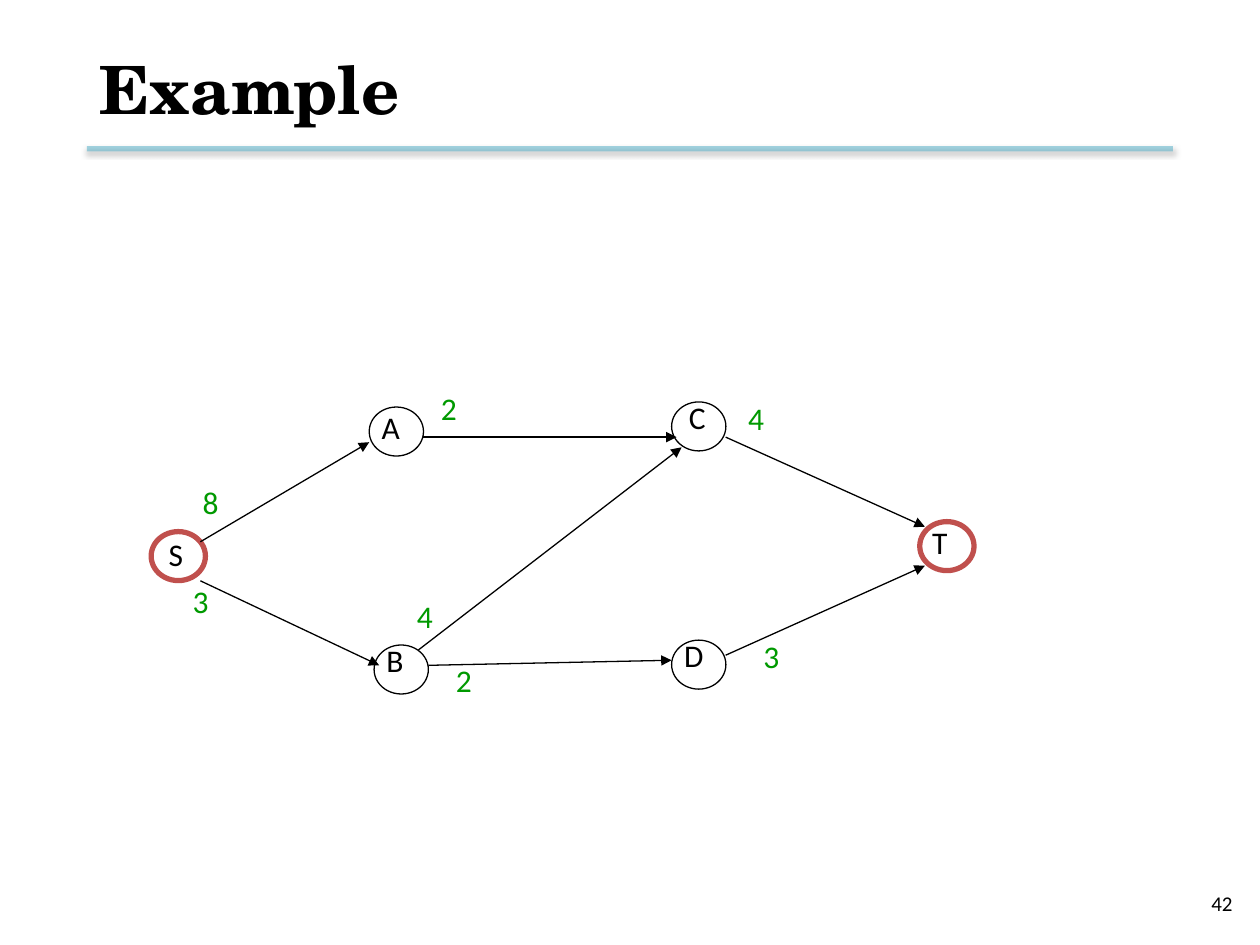
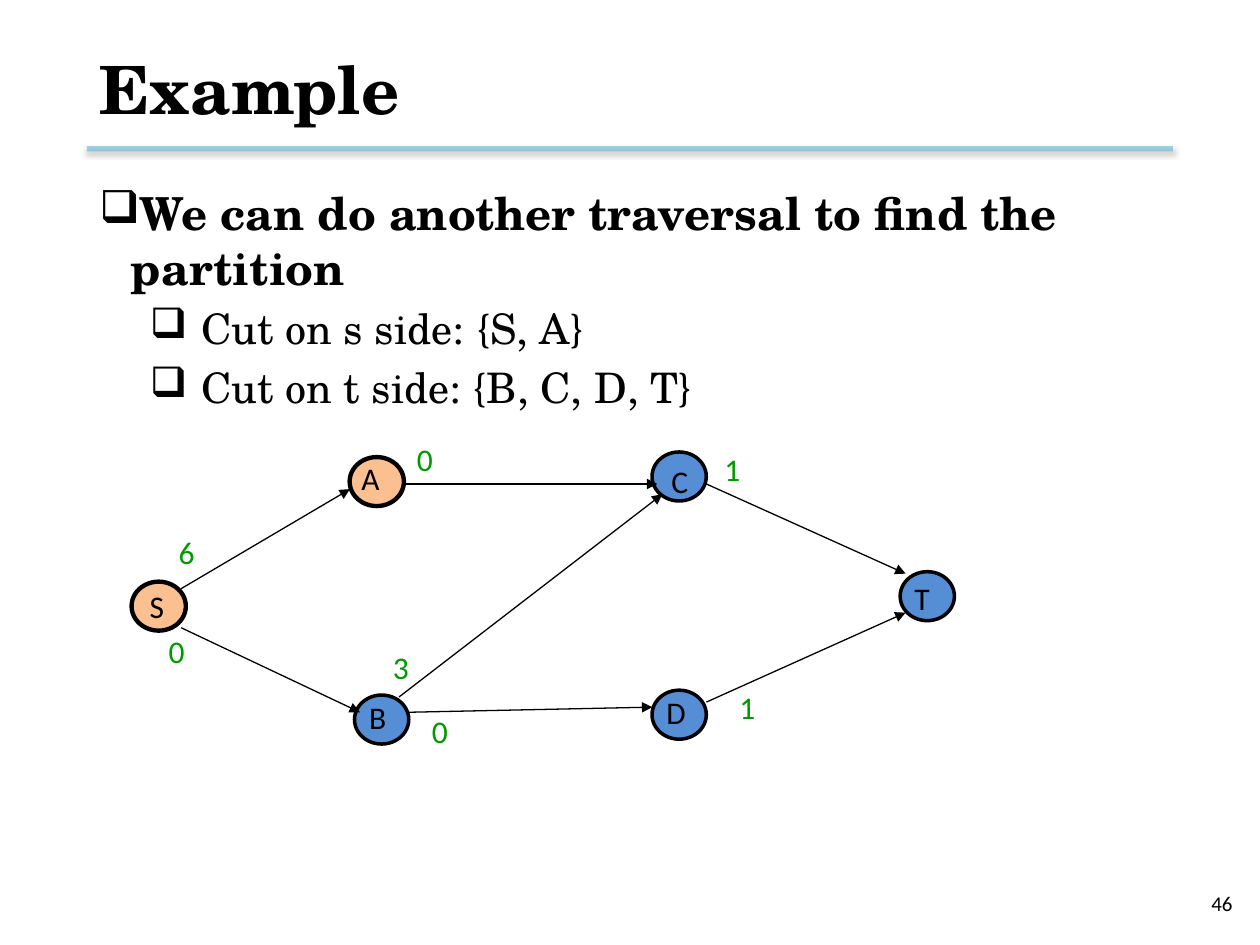
from lxml import etree
from pptx import Presentation
from pptx.dml.color import RGBColor
from pptx.enum.shapes import MSO_CONNECTOR, MSO_SHAPE
from pptx.enum.text import MSO_ANCHOR, PP_ALIGN
from pptx.oxml import parse_xml
from pptx.oxml.ns import qn
from pptx.util import Pt

STRAIGHT = MSO_CONNECTOR.STRAIGHT
ELLIPSE = MSO_SHAPE.OVAL
TOP, MIDDLE = MSO_ANCHOR.TOP, MSO_ANCHOR.MIDDLE
LEFT, RIGHT = PP_ALIGN.LEFT, PP_ALIGN.RIGHT

COLORS = {
    "black": "000000",
    "white": "FFFFFF",
    "rule": "4BACC6",
    "weight": "009900",
    "terminal": "C0504D",
    "source side": "FAC090",
    "sink side": "558ED5",
}
HEADING_FONT = "TeX Gyre Schola"
LABEL_FONT = "Calibri"

MARGIN, CONTENT_WIDTH, RULE_TOP = 49.7, 620.6, 85
NODE_WIDTH, NODE_HEIGHT = 31, 28
RULE_SHADOW = (
    '<a:effectLst xmlns:a="http://schemas.openxmlformats.org/drawingml/2006/main">'
    '<a:outerShdw blurRad="40000" dist="20000" dir="5400000" rotWithShape="0">'
    '<a:srgbClr val="000000"><a:alpha val="38000"/></a:srgbClr>'
    "</a:outerShdw></a:effectLst>"
)

# The flow network, at the place it takes on the first slide
NODES = {
    "S": (86.4, 303.8),
    "A": (211, 232.6),
    "B": (213.8, 368.6),
    "C": (383.8, 229.7),
    "D": (383.8, 365.8),
    "T": (525.6, 298.1),
}
# Edge: start x, start y, end x, end y, weight left, weight top
EDGES = {
    "SA": (114.5, 309.6, 211, 252.7, 108.7, 272.2),
    "SB": (114.5, 331.9, 216.7, 380.2, 103, 329),
    "AC": (241.9, 249.8, 386.6, 249.8, 244.8, 218.9),
    "BD": (244.8, 380.2, 383.8, 377.3, 253.4, 374.4),
    "DT": (414.7, 374.4, 528.5, 323.3, 429.1, 360.7),
    "CT": (414.7, 249.8, 528.5, 301, 420.5, 224.6),
    "BC": (239, 371.5, 389.5, 255.6, 231.1, 337.7),
}

# Node style: fill, line, line width
PLAIN = ("white", "black", 0.75)
TERMINAL = ("white", "terminal", 3)
SOURCE_SIDE = ("source side", "black", 2.5)
SINK_SIDE = ("sink side", "black", 2)

SLIDES = [
    {
        "number": "42",
        "body": [],
        "node shift": (0, 0),
        "edge shift": (0, 0),
        "weight shift": (0, 0),
        "styles": {"S": TERMINAL, "T": TERMINAL},
        "default style": PLAIN,
        "labels": {
            "S": (89.3, 302.4), "A": (211, 229.7), "B": (213.8, 362.9),
            "C": (386.6, 223.9), "D": (383.8, 360), "T": (525.6, 295.2),
        },
        "weights": {"SA": 8, "SB": 3, "AC": 2, "BD": 2, "DT": 3, "CT": 4, "BC": 4},
    },
    {
        "number": "46",
        # Text, size, bold, level, left indent, first-line indent
        "body": [
            ("We can do another traversal to find the partition", 26, True, 0, 18, -32.4),
            ("Cut on s side: {S, A}", 24, False, 1, 58.3, -29.5),
            ("Cut on t side: {B, C, D, T}", 24, False, 1, 58.3, -29.5),
        ],
        "node shift": (-11.2, 28.6),
        "edge shift": (-11, 26.8),
        "weight shift": (-13.7, 28.8),
        "styles": {"S": SOURCE_SIDE, "A": SOURCE_SIDE},
        "default style": SINK_SIDE,
        "labels": {
            "S": (78.5, 331.9), "A": (199.4, 258.5), "B": (203.8, 395.3),
            "C": (376.6, 260.6), "D": (373.7, 392.4), "T": (515.5, 327.6),
        },
        "weights": {"SA": 6, "SB": 0, "AC": 0, "BD": 0, "DT": 1, "CT": 1, "BC": 3},
    },
]


def add_text_box(slide, left, top, width, height, anchor=TOP):
    frame = slide.shapes.add_textbox(Pt(left), Pt(top), Pt(width), Pt(height)).text_frame
    frame.word_wrap = True
    frame.vertical_anchor = anchor
    return frame


def write(frame, text, size=18, font=LABEL_FONT, color="black", bold=False, align=LEFT):
    """Write one paragraph, reusing the empty first one, and return it."""
    paragraph = frame.add_paragraph() if frame.text else frame.paragraphs[0]
    paragraph.alignment = align
    run = paragraph.add_run()
    run.text = text
    run.font.size = Pt(size)
    run.font.name = font
    run.font.bold = bold
    run.font.color.rgb = RGBColor.from_string(COLORS[color])
    return paragraph


presentation = Presentation()
presentation.slide_width = Pt(720)
presentation.slide_height = Pt(540)

for content in SLIDES:
    slide = presentation.slides.add_slide(presentation.slide_layouts[6])

    # Title, rule below it, and slide number
    rule = slide.shapes.add_connector(
        STRAIGHT, Pt(MARGIN), Pt(RULE_TOP), Pt(MARGIN + CONTENT_WIDTH), Pt(RULE_TOP)
    )
    rule.line.width = Pt(3)
    rule.line.color.rgb = RGBColor.from_string(COLORS["rule"])
    rule_color = rule.line._ln.find(".//" + qn("a:srgbClr"))
    etree.SubElement(rule_color, qn("a:alpha"), val="50000")
    rule._element.spPr.append(parse_xml(RULE_SHADOW))

    number_frame = add_text_box(slide, 543.6, 501.8, 167.8, 28.8, MIDDLE)
    write(number_frame, content["number"], size=12, align=RIGHT)
    title_frame = add_text_box(slide, MARGIN, 12.2, CONTENT_WIDTH, 76.3, MIDDLE)
    write(title_frame, "Example", size=38, font=HEADING_FONT, bold=True)

    # Bulleted body
    if content["body"]:
        body_frame = add_text_box(slide, MARGIN, 102.2, CONTENT_WIDTH, 367.2)
        for text, size, bold, level, left, first_line in content["body"]:
            is_first = not body_frame.text
            paragraph = write(body_frame, text, size=size, font=HEADING_FONT, bold=bold)
            paragraph.level = level
            if not is_first:
                paragraph.space_before = Pt(5)
            properties = paragraph._p.get_or_add_pPr()
            properties.set("marL", str(Pt(left)))
            properties.set("indent", str(Pt(first_line)))
            etree.SubElement(properties, qn("a:buChar"), char="❑")

    # Nodes, then their letters
    shift_x, shift_y = content["node shift"]
    for name, (left, top) in NODES.items():
        fill, line, line_width = content["styles"].get(name, content["default style"])
        node = slide.shapes.add_shape(
            ELLIPSE, Pt(left + shift_x), Pt(top + shift_y), Pt(NODE_WIDTH), Pt(NODE_HEIGHT)
        )
        node.shadow.inherit = False
        node.fill.solid()
        node.fill.fore_color.rgb = RGBColor.from_string(COLORS[fill])
        node.line.color.rgb = RGBColor.from_string(COLORS[line])
        node.line.width = Pt(line_width)
    for name, (left, top) in content["labels"].items():
        write(add_text_box(slide, left, top, NODE_WIDTH, 36), name)

    # Edges with their weights
    shift_x, shift_y = content["edge shift"]
    weight_x, weight_y = content["weight shift"]
    for name, (x1, y1, x2, y2, left, top) in EDGES.items():
        edge = slide.shapes.add_connector(
            STRAIGHT, Pt(x1 + shift_x), Pt(y1 + shift_y), Pt(x2 + shift_x), Pt(y2 + shift_y)
        )
        edge.line.color.rgb = RGBColor.from_string(COLORS["black"])
        edge.line.width = Pt(0.75)
        etree.SubElement(edge.line._ln, qn("a:tailEnd"), type="triangle")
        etree.SubElement(edge._element.spPr, qn("a:effectLst"))
        weight_frame = add_text_box(slide, left + weight_x, top + weight_y, 28, 36)
        write(weight_frame, str(content["weights"][name]), color="weight")

presentation.save("out.pptx")
